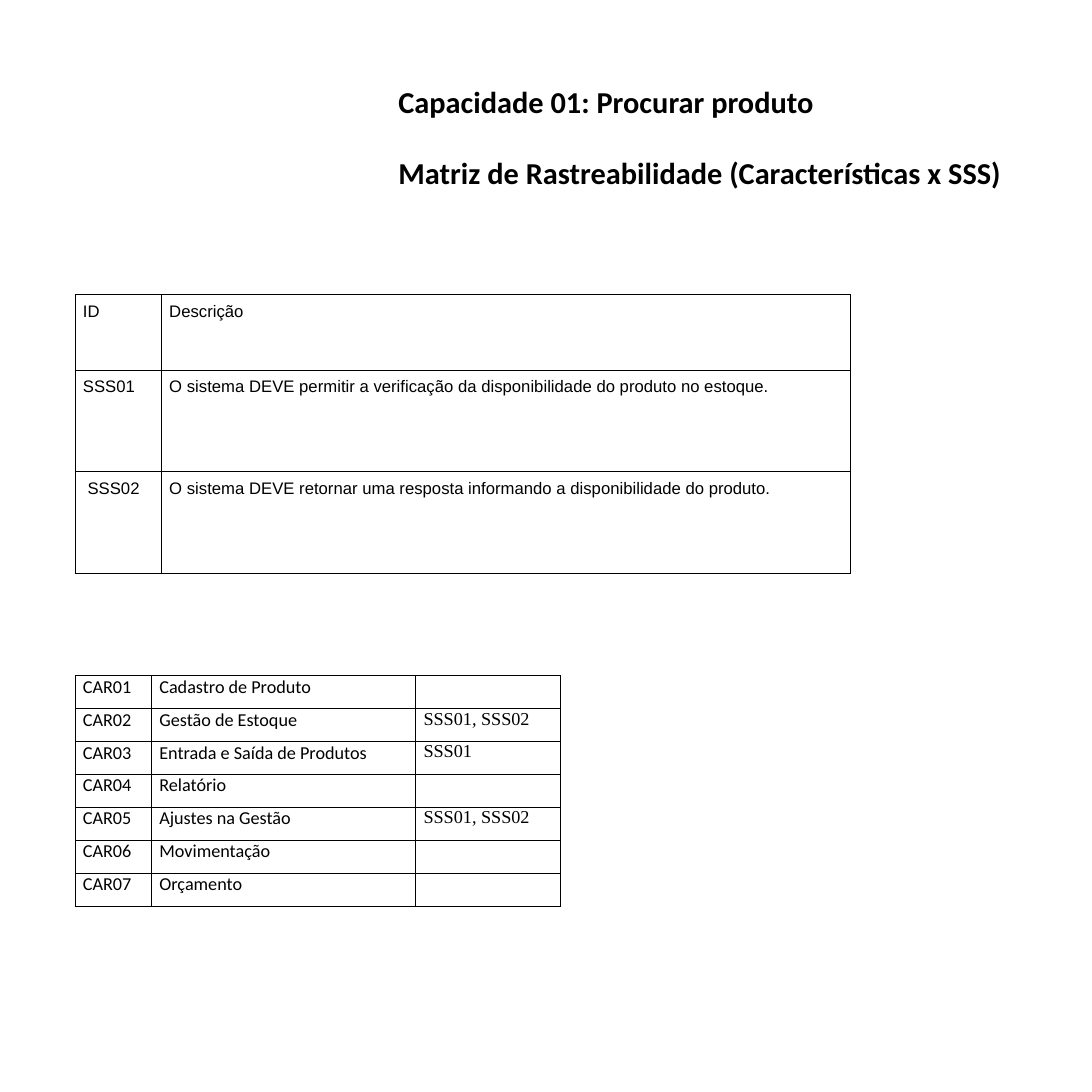
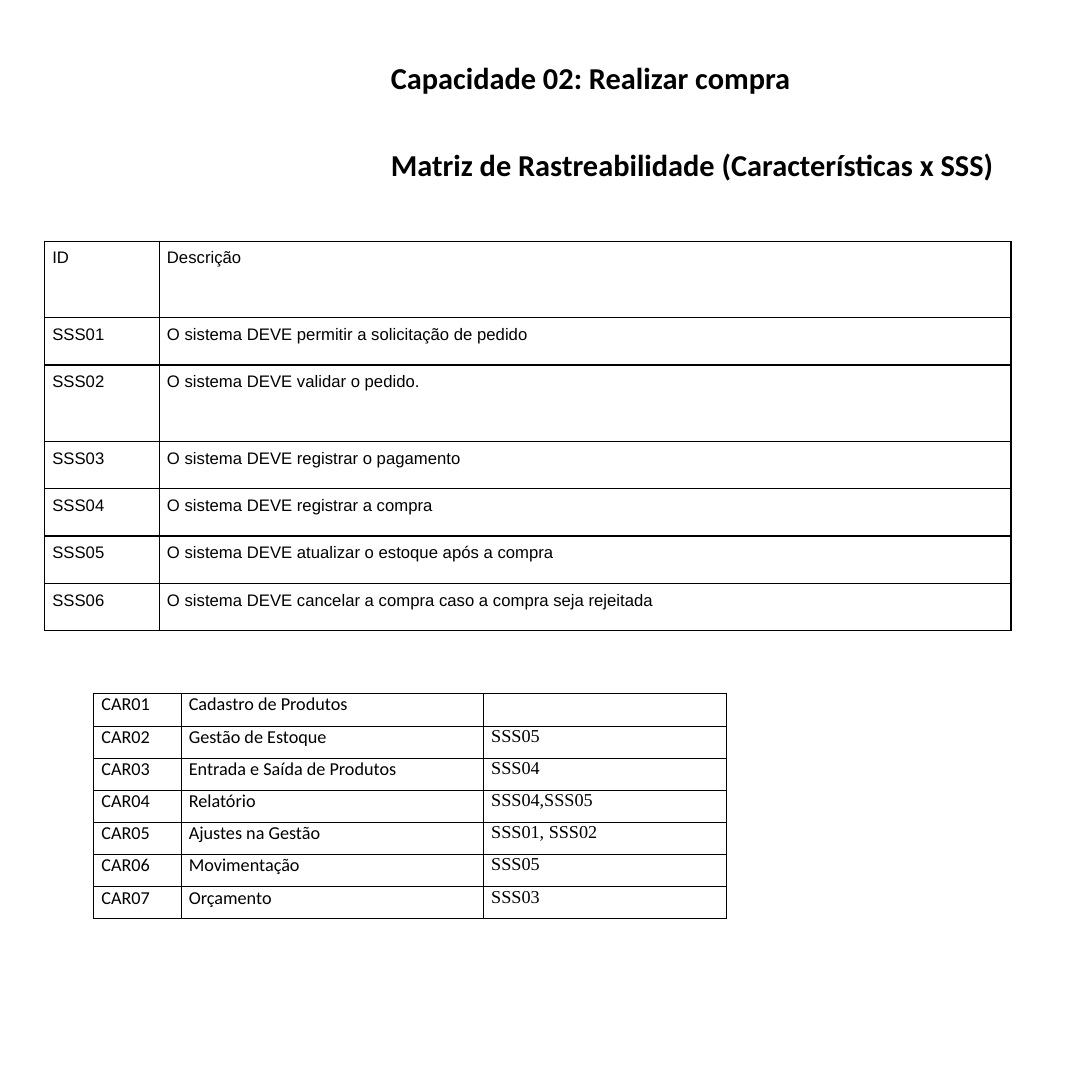
from lxml import etree
from pptx import Presentation
from pptx.dml.color import RGBColor
from pptx.enum import text
from pptx.oxml import ns
from pptx.util import Pt

BLACK = RGBColor(0x00, 0x00, 0x00)
HEADING_FONT = "Calibri"
BODY_FONT = "Arial"
TRACE_FONT = "Times New Roman"
SUBTITLE = "Matriz de Rastreabilidade (Características x SSS)"
COMMON_FEATURES = ["Gestão de Estoque", "Entrada e Saída de Produtos", "Relatório",
                   "Ajustes na Gestão", "Movimentação", "Orçamento"]


def style_run(span, font, size, bold=False):
    """Give a run its font, size and the shared text colour."""
    span.font.name = font
    span.font.size = Pt(size)
    span.font.bold = bold
    span.font.color.rgb = BLACK


def border_cell(cell, width):
    """Draw a solid line on all four sides of a cell."""
    properties = cell._tc.get_or_add_tcPr()
    for position, side in enumerate(("a:lnL", "a:lnR", "a:lnT", "a:lnB")):
        line = etree.Element(ns.qn(side), w=str(Pt(width)))
        fill = etree.SubElement(line, ns.qn("a:solidFill"))
        etree.SubElement(fill, ns.qn("a:srgbClr"), val=str(BLACK))
        properties.insert(position, line)


def add_title(page, box, title, gap, bottom_inset=7.2):
    """Place the slide title and the shared subtitle, gap points apart."""
    frame = page.shapes.add_textbox(*map(Pt, box)).text_frame
    frame.word_wrap = True
    frame.vertical_anchor = text.MSO_ANCHOR.MIDDLE
    frame.margin_top = Pt(7.2)
    frame.margin_bottom = Pt(bottom_inset)
    frame.text = f"{title}\n{SUBTITLE}"
    frame.paragraphs[1].space_before = Pt(gap)
    for para in frame.paragraphs:
        style_run(para.runs[0], HEADING_FONT, 20, bold=True)


def add_grid(page, corner, widths, heights, rows, fonts, size, inset, border):
    """Place a bordered, unfilled table at corner; fonts go by column."""
    left, top = corner
    table = page.shapes.add_table(len(rows), len(widths), Pt(left), Pt(top),
                                  Pt(sum(widths)), Pt(sum(heights))).table
    table.first_row = table.horz_banding = False
    for column, width in zip(table.columns, widths):
        column.width = Pt(width)
    for row, height, values in zip(table.rows, heights, rows):
        row.height = Pt(height)
        for cell, value, font in zip(row.cells, values, fonts):
            cell.margin_left = cell.margin_right = Pt(5)
            cell.margin_top = cell.margin_bottom = Pt(inset)
            cell.fill.background()
            border_cell(cell, border)
            span = cell.text_frame.paragraphs[0].add_run()
            span.text = value
            style_run(span, font, size)


def add_requirements(page, corner, widths, heights, requirements):
    """Place the table of requirement IDs and descriptions."""
    rows = [("ID", "Descrição"), *requirements]
    add_grid(page, corner, widths, heights, rows, [BODY_FONT] * 2,
             size=11, inset=5, border=1)


def add_matrix(page, corner, widths, row_height, first_feature, traces):
    """Place the matrix that traces numbered features to requirements."""
    features = [first_feature, *COMMON_FEATURES]
    rows = [(f"CAR{number:02}", feature, trace)
            for number, (feature, trace) in enumerate(zip(features, traces), 1)]
    add_grid(page, corner, widths, [row_height] * len(rows), rows,
             [HEADING_FONT, HEADING_FONT, TRACE_FONT], size=12, inset=0, border=0.75)


def build_search_page(page):
    """Build the slide on searching for a product."""
    add_requirements(page, (49.7, 194.4), (56.9, 454.3), (49.7, 67, 67), [
        ("SSS01", "O sistema DEVE permitir a verificação da disponibilidade "
                  "do produto no estoque."),
        (" SSS02", "O sistema DEVE retornar uma resposta informando a "
                   "disponibilidade do produto."),
    ])
    add_matrix(page, (49.7, 445.7), (50.4, 174.2, 95), 21.7, "Cadastro de Produto",
               ["", "SSS01, SSS02", "SSS01", "", "SSS01, SSS02", "", ""])
    add_title(page, (255.6, 14.4, 454.3, 152), "Capacidade 01: Procurar produto", gap=23)


def build_purchase_page(page):
    """Build the slide on making a purchase."""
    actions = ["permitir a solicitação de pedido", "validar o pedido.",
               "registrar o pagamento", "registrar a compra",
               "atualizar o estoque após a compra",
               "cancelar a compra caso a compra seja rejeitada"]
    add_requirements(page, (29.5, 159.1), (75.6, 561.6), (50.4, 31.2, 50.4, *[31.2] * 4),
                     [(f"SSS{number:02}", f"O sistema DEVE {action}")
                      for number, action in enumerate(actions, 1)])
    add_matrix(page, (61.9, 457.2), (57.6, 199.4, 159.8), 21.2, "Cadastro de Produtos",
               ["", "SSS05", "SSS04", "SSS04,SSS05", "SSS01, SSS02", "SSS05", "SSS03"])
    add_title(page, (250.6, 10.8, 427.7, 148.3), "Capacidade 02: Realizar compra",
              gap=33.6, bottom_inset=18)


deck = Presentation()
deck.slide_width = deck.slide_height = Pt(720)
for build_page in (build_search_page, build_purchase_page):
    build_page(deck.slides.add_slide(deck.slide_layouts[6]))
deck.save("out.pptx")
